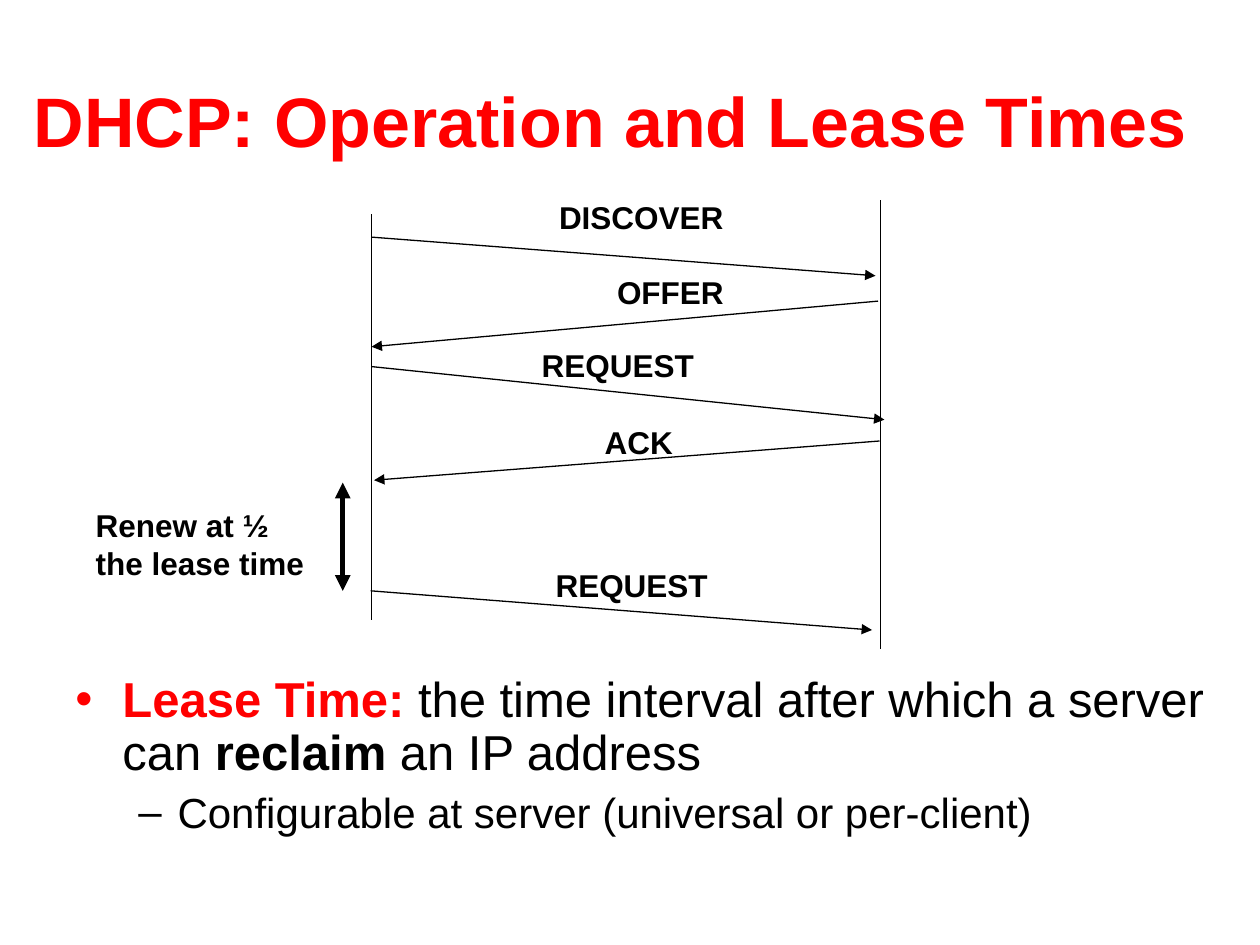
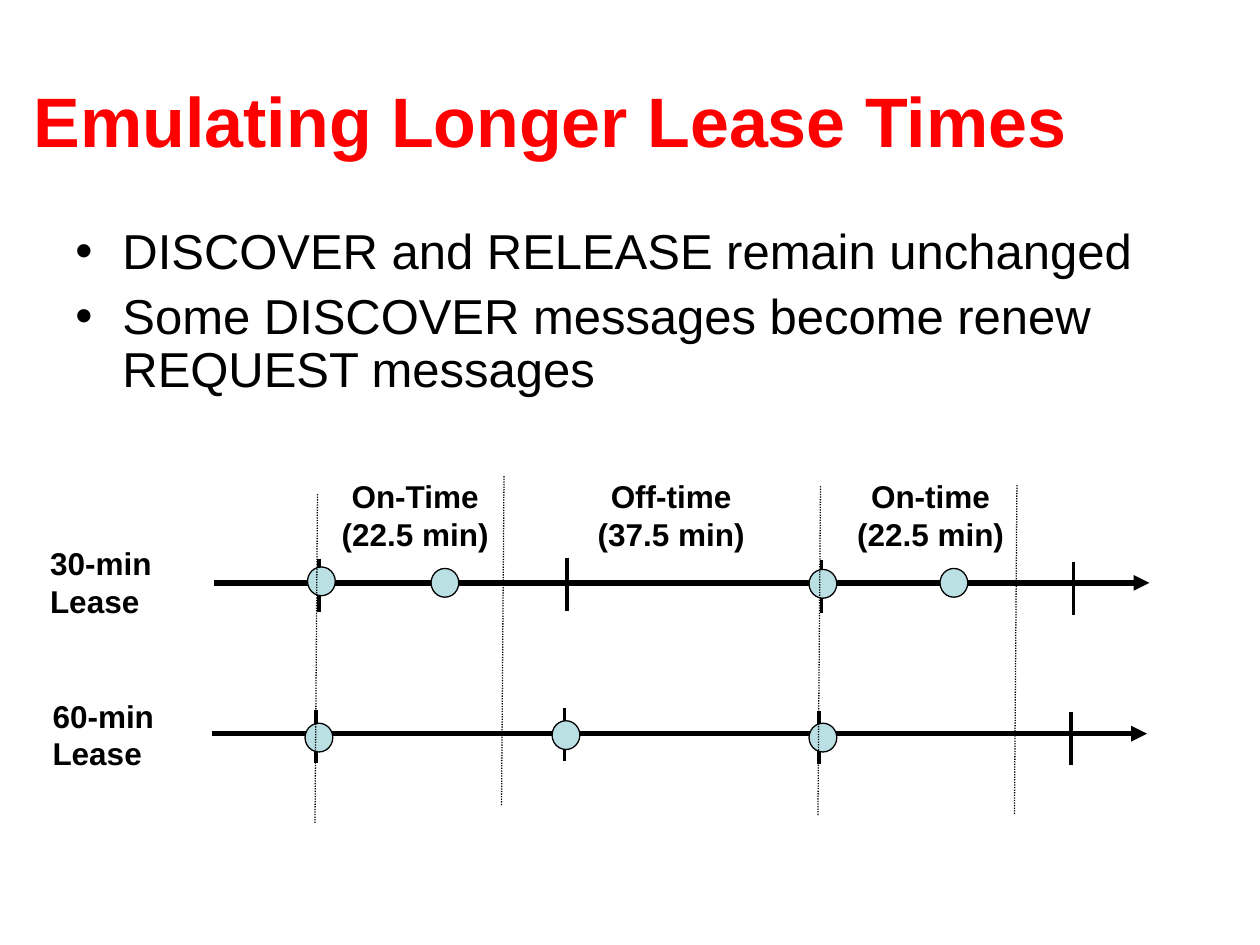
"""Build two slides on DHCP operation and lease times."""
import pptx
import pptx.dml.color
import pptx.enum.dml
import pptx.enum.shapes
import pptx.enum.text
import pptx.oxml
import pptx.oxml.ns
import pptx.util

Cm = pptx.util.Cm
Pt = pptx.util.Pt
Align = pptx.enum.text.PP_ALIGN
RED = pptx.dml.color.RGBColor(0xFF, 0x00, 0x00)
BLACK = pptx.dml.color.RGBColor(0x00, 0x00, 0x00)
AQUA = pptx.dml.color.RGBColor(0xBB, 0xE0, 0xE3)
FONT = "Arial"
LEVELS = [("•", 0.95, 0.95, 28, 7), ("–", 2.06, 0.79, 24, 6)]


def style(font, size, color=BLACK, bold=False):
    """Set the face, size, colour and weight of a font."""
    font.name = FONT
    font.size = Pt(size)
    font.color.rgb = color
    font.bold = bold


def add_node(parent, tag, **attrs):
    """Append a drawing element with attributes."""
    node = pptx.oxml.parse_xml(f"<a:{tag} {pptx.oxml.ns.nsdecls('a')}/>")
    for key, value in attrs.items():
        node.set(key, str(value))
    parent.append(node)
    return node


def add_page(deck, title):
    """Add a title-only slide with its formatted title."""
    slide = deck.slides.add_slide(deck.slide_layouts[5])
    shape = slide.shapes.title
    shape.left, shape.top = Cm(0.43), Cm(0.81)
    shape.width, shape.height = Cm(24.33), Cm(3.18)
    frame = shape.text_frame
    frame.text = title
    frame.auto_size = pptx.enum.text.MSO_AUTO_SIZE.NONE
    frame.vertical_anchor = pptx.enum.text.MSO_ANCHOR.MIDDLE
    frame.paragraphs[0].alignment = Align.LEFT
    style(frame.paragraphs[0].font, 40, RED, True)
    return slide


def add_box(slide, left, top, width, height):
    """Add a wrapping text box and return its frame."""
    box = slide.shapes.add_textbox(Cm(left), Cm(top), Cm(width), Cm(height))
    box.text_frame.word_wrap = True
    return box.text_frame


def add_label(slide, text, left, top, width, align=Align.LEFT):
    """Add a bold label of one or more lines."""
    lines = text.split("\n")
    frame = add_box(slide, left, top, width, 0.25 + 0.76 * len(lines))
    frame.text = text
    for para in frame.paragraphs:
        para.alignment = align
        style(para.font, 18, bold=True)


def add_list(slide, top, width, height, items):
    """Add bullets given as level and runs of text, colour and weight."""
    frame = add_box(slide, 1.27, top, width, height)
    for i, (level, runs) in enumerate(items):
        para = frame.add_paragraph() if i else frame.paragraphs[0]
        mark, indent, hang, size, gap = LEVELS[level]
        para.level = level
        props = para._p.get_or_add_pPr()
        props.set("marL", str(Cm(indent)))
        props.set("indent", str(-Cm(hang)))
        add_node(add_node(props, "buClr"), "srgbClr", val=runs[0][1])
        add_node(props, "buFont", typeface=FONT)
        add_node(props, "buChar", char=mark)
        para.line_spacing = 0.9
        if i:
            para.space_before = Pt(gap)
        for text, color, bold in runs:
            run = para.add_run()
            run.text = text
            style(run.font, size, color, bold)


def add_line(slide, x1, y1, x2, y2, width=0.75, ends=(), dash=None):
    """Add a black line with optional arrowheads and dash."""
    line = slide.shapes.add_connector(
        pptx.enum.shapes.MSO_CONNECTOR.STRAIGHT, Cm(x1), Cm(y1), Cm(x2), Cm(y2))
    line.line.color.rgb = BLACK
    line.line.width = Pt(width)
    if dash:
        line.line.dash_style = dash
    for end in ends:
        add_node(line.line._get_or_add_ln(), end, type="triangle")
    add_node(line._element.spPr, "effectLst")


def add_dot(slide, left, top):
    """Add a message dot."""
    dot = slide.shapes.add_shape(pptx.enum.shapes.MSO_SHAPE.OVAL,
                                 Cm(left), Cm(top), Cm(0.56), Cm(0.58))
    dot.shadow.inherit = False
    dot.fill.solid()
    dot.fill.fore_color.rgb = AQUA
    dot.line.color.rgb = BLACK
    dot.line.width = Pt(0.75)


def add_axis(slide, left, top, dots):
    """Add a lease axis with renewal ticks and dots."""
    add_line(slide, left, top, left + 18.85, top, 3, ["tailEnd"])
    for x, y in [(2.11, -0.48), (7.11, -0.51), (12.24, -0.46), (17.32, -0.43)]:
        add_line(slide, left + x, top + y, left + x, top + y + 1.07, 2.25)
    for x, y in dots:
        add_dot(slide, x, top + y)


def build_flow(deck):
    """Build the message exchange slide."""
    slide = add_page(deck, "DHCP: Operation and Lease Times")
    add_list(slide, 13.49, 23.5, 3.53, [
        (0, [("Lease Time: ", RED, True),
             ("the time interval after which a server can ", BLACK, False),
             ("reclaim", BLACK, True), (" an IP address", BLACK, False)]),
        (1, [("Configurable at server (universal or per-client)", BLACK, False)])])
    add_line(slide, 7.49, 4.32, 7.49, 12.5)
    add_line(slide, 17.75, 4.04, 17.75, 13.08)
    for text, left, top, ends in [
            ("DISCOVER", 11.02, 3.86, (7.49, 4.78, 17.65, 5.56)),
            ("OFFER", 12.19, 5.38, (17.7, 6.07, 7.49, 6.99)),
            ("REQUEST", 10.67, 6.86, (7.49, 7.39, 17.83, 8.46)),
            ("ACK", 11.94, 8.41, (17.73, 8.89, 7.54, 9.68)),
            ("REQUEST", 10.95, 11.28, (7.47, 11.91, 17.58, 12.7))]:
        add_line(slide, *ends, ends=["tailEnd"])
        add_label(slide, text, left, top, 4.2)
    add_line(slide, 6.91, 9.73, 6.91, 11.91, 3, ["headEnd", "tailEnd"])
    add_label(slide, "Renew at ½\nthe lease time", 1.68, 10.08, 5.1)


def build_leases(deck):
    """Build the lease comparison slide."""
    slide = add_page(deck, "Emulating Longer Lease Times")
    add_list(slide, 4.45, 22.86, 4.01, [
        (0, [(text, BLACK, False)]) for text in (
            "DISCOVER and RELEASE remain unchanged",
            "Some DISCOVER messages become renew REQUEST messages")])
    add_axis(slide, 4.32, 11.75,
             [(6.2, -0.32), (8.69, -0.29), (16.31, -0.27), (18.95, -0.29)])
    add_axis(slide, 4.27, 14.79, [(6.15, -0.21), (11.13, -0.26), (16.31, -0.21)])
    for x, y in [(6.4, 9.96), (10.16, 9.6), (16.54, 9.8), (20.5, 9.78)]:
        add_line(slide, x, y, x - 0.05, y + 6.63,
                 dash=pptx.enum.dml.MSO_LINE.ROUND_DOT)
    for text, left in [("On-Time\n(22.5 min)", 6.3),
                       ("Off-time\n(37.5 min)", 11.46),
                       ("On-time\n(22.5 min)", 16.69)]:
        add_label(slide, text, left, 9.5, 4.14, Align.CENTER)
    add_label(slide, "30-min\nLease", 0.76, 10.85, 3.05)
    add_label(slide, "60-min\nLease", 0.81, 13.92, 3.05)


def main():
    """Build and save the deck."""
    deck = pptx.Presentation()
    deck.slide_width, deck.slide_height = Cm(25.4), Cm(19.05)
    build_flow(deck)
    build_leases(deck)
    deck.save("out.pptx")


if __name__ == "__main__":
    main()
